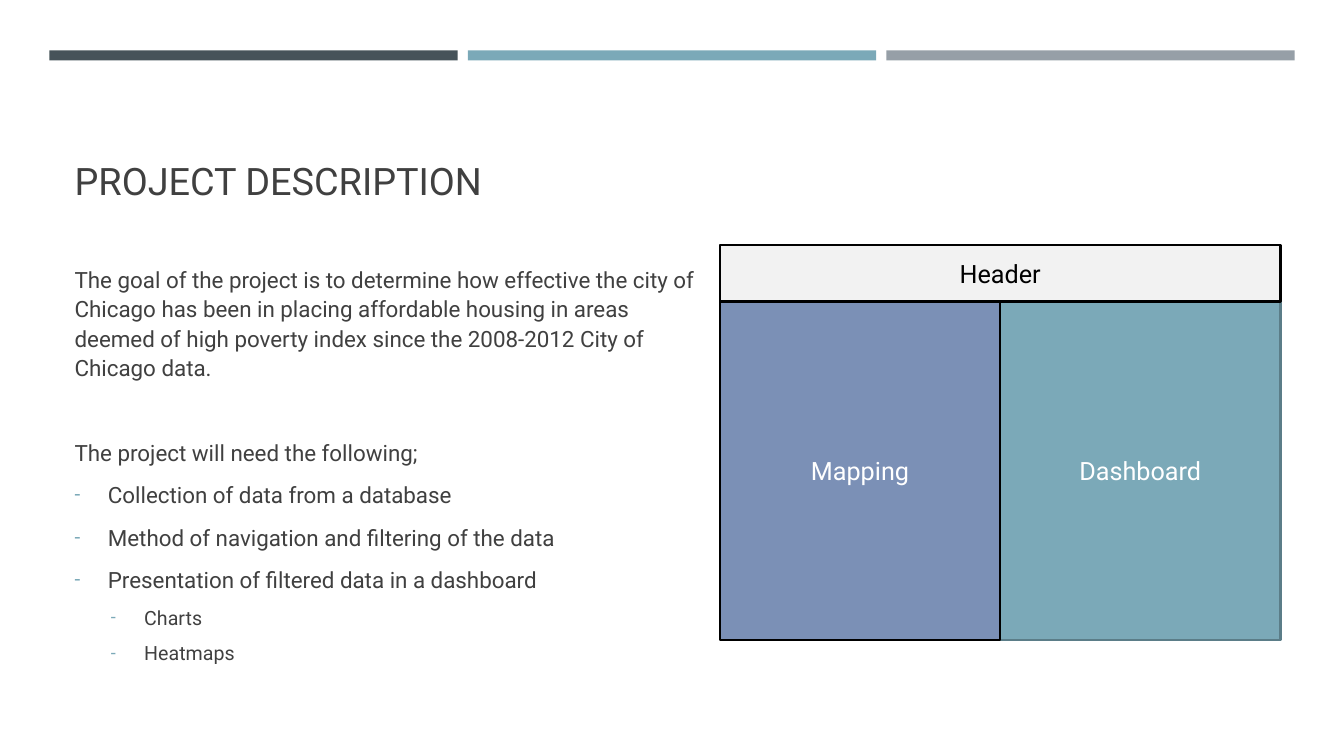
from lxml import etree
from pptx import Presentation, util as u
from pptx.dml.color import RGBColor
from pptx.enum import shapes, text
from pptx.oxml.ns import qn

FONT, INK, TEAL = "Roboto", "404040", "7BA9B8"


def rgb(value):
    return RGBColor.from_string(value)


def write(paragraph, words, size=16, color=INK, align=text.PP_ALIGN.LEFT,
          spacing=1.0, before=0, after=0, indent=0, bullet=None):
    paragraph.alignment, paragraph.line_spacing = align, spacing
    paragraph.space_before, paragraph.space_after = u.Pt(before), u.Pt(after)
    run = paragraph.add_run()
    run.text = words
    run.font.name, run.font.size = FONT, u.Pt(size)
    run.font.color.rgb = rgb(color)
    # Bullet and hanging indent
    props = paragraph._p.get_or_add_pPr()
    props.set("marL", str(u.Inches(indent)))
    props.set("indent", str(u.Inches(-0.33 if bullet else 0)))
    if bullet:
        tint = etree.SubElement(props, qn("a:buClr"))
        etree.SubElement(tint, qn("a:srgbClr"), val=TEAL)
        etree.SubElement(props, qn("a:buSzPct"), val="92000")
        etree.SubElement(props, qn("a:buFont"), typeface=FONT)
        etree.SubElement(props, qn("a:buChar"), char=bullet)
    else:
        etree.SubElement(props, qn("a:buNone"))


def block(left, top, width, height, fill, line=None):
    box = slide.shapes.add_shape(shapes.MSO_SHAPE.RECTANGLE,
                                 *map(u.Inches, (left, top, width, height)))
    box.shadow.inherit = False
    box.fill.solid()
    box.fill.fore_color.rgb = rgb(fill)
    if line:
        box.line.color.rgb, box.line.width = rgb(line), u.Pt(1.75)
    else:
        box.line.fill.background()
    return box


deck = Presentation()
deck.slide_width, deck.slide_height = u.Inches(13.33), u.Inches(7.5)
slide = deck.slides.add_slide(deck.slide_layouts[1])
title, body = slide.placeholders

# Three bars across the top
bar_width, bar_gap = 4.05, 0.1
for column, color in enumerate(("465359", TEAL, "969FA7")):
    block(0.49 + column * (bar_width + bar_gap), 0.5, bar_width, 0.1, color)

# Title and body areas share the left margin
margin = 0.64
for area, top, width, height, anchor in (
        (title, 0.77, 12.06, 1.3, text.MSO_ANCHOR.BOTTOM),
        (body, 2.56, 6.5, 3.97, text.MSO_ANCHOR.TOP)):
    area.left, area.top = u.Inches(margin), u.Inches(top)
    area.width, area.height = u.Inches(width), u.Inches(height)
    area.text_frame.word_wrap = True
    area.text_frame.auto_size = text.MSO_AUTO_SIZE.NONE
    area.text_frame.vertical_anchor = anchor

write(title.text_frame.paragraphs[0], "PROJECT DESCRIPTION", size=27, spacing=0.9)

# Goal, then the list of needs
plain = dict(spacing=1.1, before=3.2, after=6)
need = dict(plain, indent=0.33, bullet="-")
detail = dict(size=14, before=2.8, after=6, indent=0.69, bullet="-")
content = (
    ("The goal of the project is to determine how effective the city of Chicago "
     "has been in placing affordable housing in areas deemed of high poverty "
     "index since the 2008-2012 City of Chicago data.", 0, plain),
    ("The project will need the following;", 0, dict(plain, before=33.4)),
    ("Collection of data from a database", 0, need),
    ("Method of navigation and filtering of the data", 0, need),
    ("Presentation of filtered data in a dashboard", 0, need),
    ("Charts", 1, detail),
    ("Heatmaps", 1, detail),
)
for number, (words, level, style) in enumerate(content):
    frame = body.text_frame
    paragraph = frame.add_paragraph() if number else frame.paragraphs[0]
    paragraph.level = level
    write(paragraph, words, **style)

# Page layout: a header over two equal panels
layout_left, layout_top = 7.14, 2.43
panel_width, header_height, panel_height = 2.78, 0.56, 3.36
panel_top = layout_top + header_height
for label, column, top, columns, height, fill, line, color in (
        ("Dashboard", 1, panel_top, 1, panel_height, TEAL, "5B7D88", "FFFFFF"),
        ("Mapping", 0, panel_top, 1, panel_height, "7B90B6", "000000", "FFFFFF"),
        ("Header", 0, layout_top, 2, header_height, "F2F2F2", "000000", "000000")):
    panel = block(layout_left + column * panel_width, top,
                  columns * panel_width, height, fill, line)
    panel.text_frame.vertical_anchor = text.MSO_ANCHOR.MIDDLE
    write(panel.text_frame.paragraphs[0], label, size=18, color=color,
          align=text.PP_ALIGN.CENTER)

deck.save("out.pptx")
